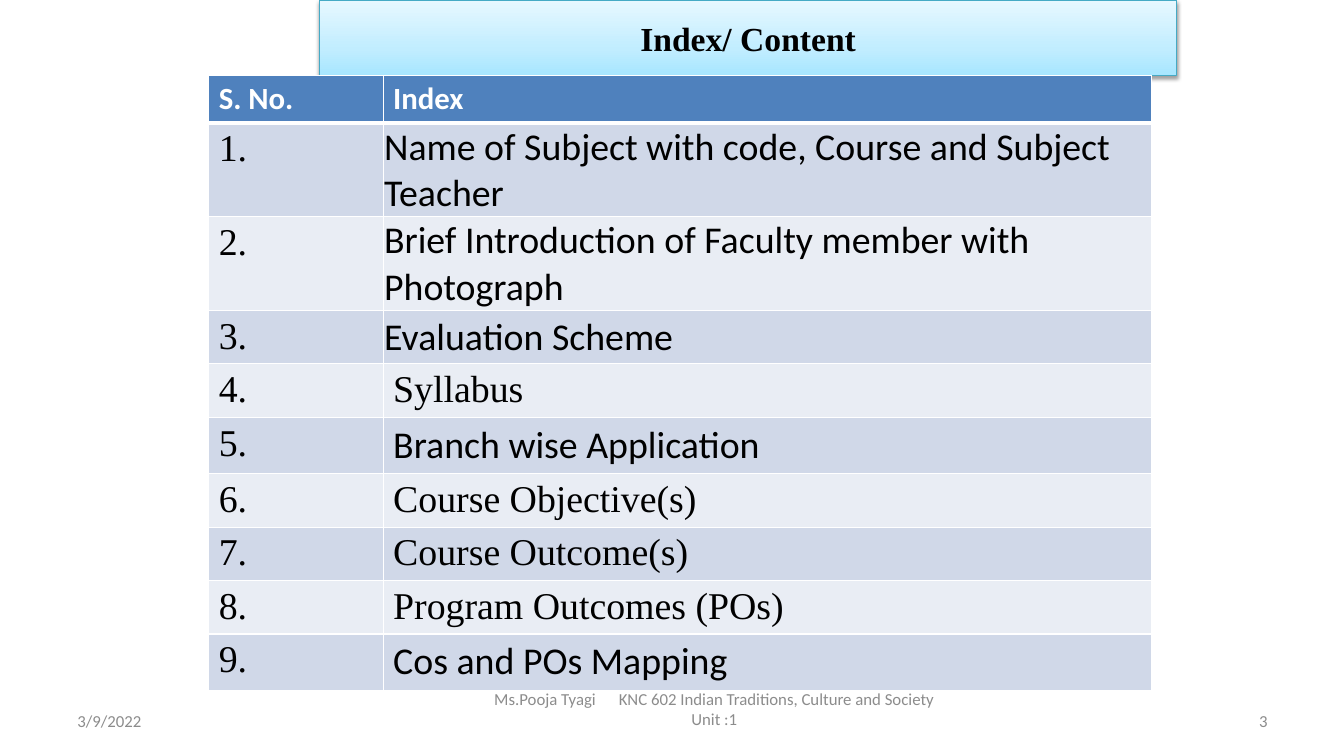
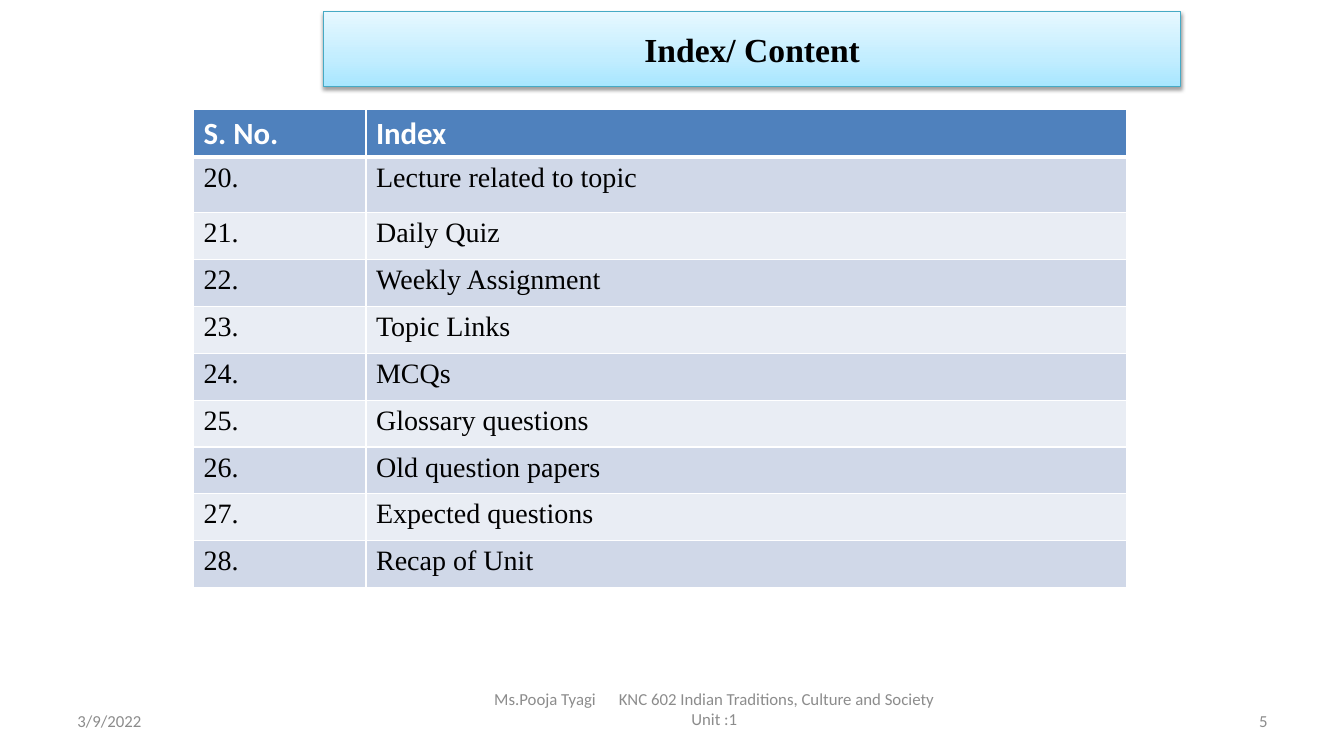
from lxml import etree
from pptx import Presentation
from pptx.dml.color import RGBColor
from pptx.enum import shapes, text
from pptx.oxml import parse_xml
from pptx.oxml.ns import qn
from pptx.util import Inches, Pt

NS = 'xmlns:a="http://schemas.openxmlformats.org/drawingml/2006/main"'
SANS, SERIF = "Calibri", "Times New Roman"
COLORS = {
    "header": "4F81BD", "odd": "D0D8E8", "even": "E9EDF4", "white": "FFFFFF",
    "black": "000000", "footer": "8C8C8C", "title_line": "46AAC5",
}
TITLE_GRADIENT = [(0, "A7E6FF"), (35, "C1EDFF"), (100, "E7F8FF")]
LEFT, CENTER, RIGHT = text.PP_ALIGN.LEFT, text.PP_ALIGN.CENTER, text.PP_ALIGN.RIGHT
MIDDLE = text.MSO_ANCHOR.MIDDLE
TIGHT = Inches(0.01)

# Each topic: wording, font, and whether its cell has tight margins
SLIDES = [
    {
        "number": 3, "first": 1, "size": 27, "title_at": (3.17, 0),
        "table_at": (2.07, 0.75), "cols": (1.73, 7.62),
        "rows": [0.47, 0.93, 0.93, 0.53, 0.53, 0.56, 0.53, 0.53, 0.53, 0.56],
        "topics": [
            ("Name of Subject with code, Course and Subject Teacher", SANS, True),
            ("Brief Introduction of Faculty member with Photograph", SANS, True),
            ("Evaluation Scheme", SANS, True),
            ("Syllabus", SERIF, False),
            ("Branch wise Application", SANS, False),
            ("Course Objective(s)", SERIF, False),
            ("Course Outcome(s)", SERIF, False),
            ("Program Outcomes (POs)", SERIF, False),
            ("Cos and POs Mapping", SANS, False),
        ],
    },
    {
        "number": 5, "first": 20, "size": 20, "title_at": (3.21, 0.11),
        "table_at": (1.92, 1.09), "cols": (1.71, 7.54),
        "rows": [0.47, 0.55] + [3.72 / 8] * 8,
        "topics": [(topic, SERIF, False) for topic in (
            "Lecture related to topic", "Daily Quiz", "Weekly Assignment",
            "Topic Links", "MCQs", "Glossary questions", "Old question papers",
            "Expected questions", "Recap of Unit")],
    },
]


def format_text(tf, size, font, color, bold=False, align=LEFT):
    for p in tf.paragraphs:
        p.alignment = align
        for r in p.runs:
            r.font.size, r.font.name, r.font.bold = Pt(size), font, bold
            r.font.color.rgb = RGBColor.from_string(COLORS[color])


def style_cell(cell, fill, top, bottom):
    """Draw white borders, top and bottom in points, then fill the cell."""
    tcPr = cell._tc.get_or_add_tcPr()
    for side, width in (("L", 1), ("R", 1), ("T", top), ("B", bottom)):
        tcPr.append(parse_xml(
            f'<a:ln{side} {NS} w="{Pt(width)}"><a:solidFill>'
            f'<a:srgbClr val="{COLORS["white"]}"/></a:solidFill></a:ln{side}>'))
    cell.fill.solid()
    cell.fill.fore_color.rgb = RGBColor.from_string(COLORS[fill])
    cell.margin_bottom = TIGHT  # keeps the text from stretching its row


prs = Presentation()
prs.slide_width, prs.slide_height = Inches(13.33), Inches(7.5)

for page in SLIDES:
    s = prs.slides.add_slide(prs.slide_layouts[6])

    # Footer: date, course and slide number
    for left, top, width, align, words in (
            (0.67, 6.95, 3.11, LEFT, "3/9/2022"),
            (4.75, 6.83, 5.17, CENTER, "Ms.Pooja Tyagi"),
            (9.56, 6.95, 3.11, RIGHT, str(page["number"]))):
        tf = s.shapes.add_textbox(
            Inches(left), Inches(top), Inches(width), Inches(0.4)).text_frame
        tf.word_wrap, tf.vertical_anchor = True, MIDDLE
        tf.text = words
        if align == CENTER:
            p = tf.paragraphs[0]
            p._p.get_or_add_pPr().set("marR", str(Inches(0.5)))
            gap, course = p.add_run(), p.add_run()
            gap.text = " "
            gap.font._element.set("spc", "1360")  # widens the gap after the name
            course.text = "KNC 602 Indian Traditions, Culture and Society"
            tf.add_paragraph().text = "Unit :1"
        format_text(tf, 12, SANS, "footer", align=align)

    # Title band
    left, top = page["title_at"]
    band = s.shapes.add_shape(shapes.MSO_SHAPE.RECTANGLE, Inches(left), Inches(top),
                              Inches(8.5), Inches(0.75))
    band.line.color.rgb = RGBColor.from_string(COLORS["title_line"])
    band.line.width = Pt(0.75)
    stops = "".join(f'<a:gs pos="{pos * 1000}"><a:srgbClr val="{color}"/></a:gs>'
                    for pos, color in TITLE_GRADIENT)
    spPr = band._element.spPr
    spPr.find(qn("a:ln")).addprevious(parse_xml(
        f'<a:gradFill {NS} rotWithShape="1"><a:gsLst>{stops}</a:gsLst>'
        '<a:lin ang="16200000" scaled="0"/></a:gradFill>'))
    band.shadow.inherit = False
    shadow = etree.SubElement(spPr.find(qn("a:effectLst")), qn("a:outerShdw"),
                              blurRad=str(Pt(3.1)), dist=str(Pt(1.6)),
                              dir="5400000", rotWithShape="0")
    tint = etree.SubElement(shadow, qn("a:srgbClr"), val=COLORS["black"])
    etree.SubElement(tint, qn("a:alpha"), val="38000")
    tf = band.text_frame
    tf.vertical_anchor = MIDDLE
    tf.text = "Index/ Content"
    format_text(tf, 24, SERIF, "black", bold=True, align=CENTER)

    # Index table
    left, top = page["table_at"]
    table = s.shapes.add_table(
        len(page["rows"]), 2, Inches(left), Inches(top),
        Inches(sum(page["cols"])), Inches(sum(page["rows"]))).table
    for column, width in zip(table.columns, page["cols"]):
        column.width = Inches(width)
    for row, height in zip(table.rows, page["rows"]):
        row.height = Inches(height)

    for cell, heading in zip(table.rows[0].cells, ("S. No.", "Index")):
        cell.text = heading
        style_cell(cell, "header", top=1, bottom=3)
        format_text(cell.text_frame, 22, SANS, "white", bold=True)

    for i, (topic, font, tight) in enumerate(page["topics"], 1):
        number_cell, topic_cell = table.rows[i].cells
        number_cell.text = f"{page['first'] + i - 1}."
        topic_cell.text = topic
        for cell, face in ((number_cell, SERIF), (topic_cell, font)):
            style_cell(cell, "odd" if i % 2 else "even", top=3 if i == 1 else 1, bottom=1)
            format_text(cell.text_frame, page["size"], face, "black")
        if tight:
            topic_cell.vertical_anchor = MIDDLE
            topic_cell.margin_left = topic_cell.margin_right = TIGHT
            topic_cell.margin_top, topic_cell.margin_bottom = TIGHT, 0

prs.save("out.pptx")
